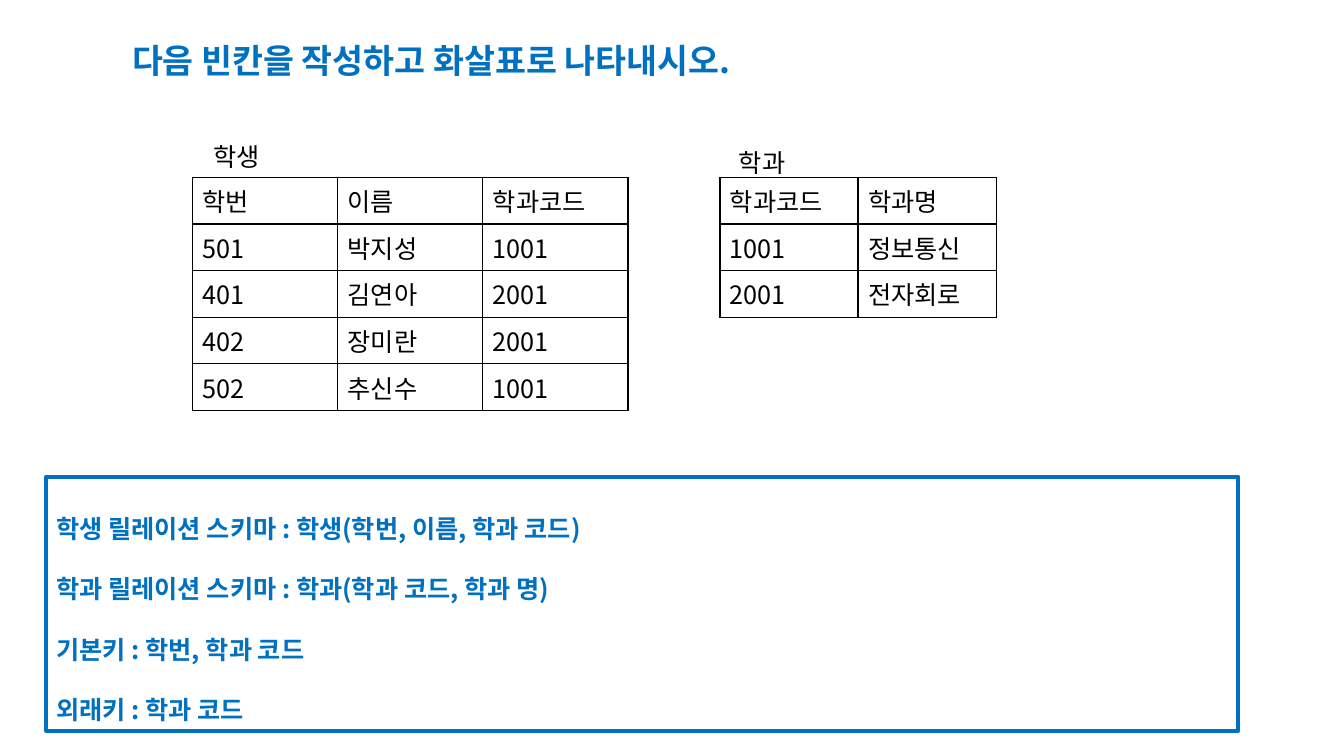
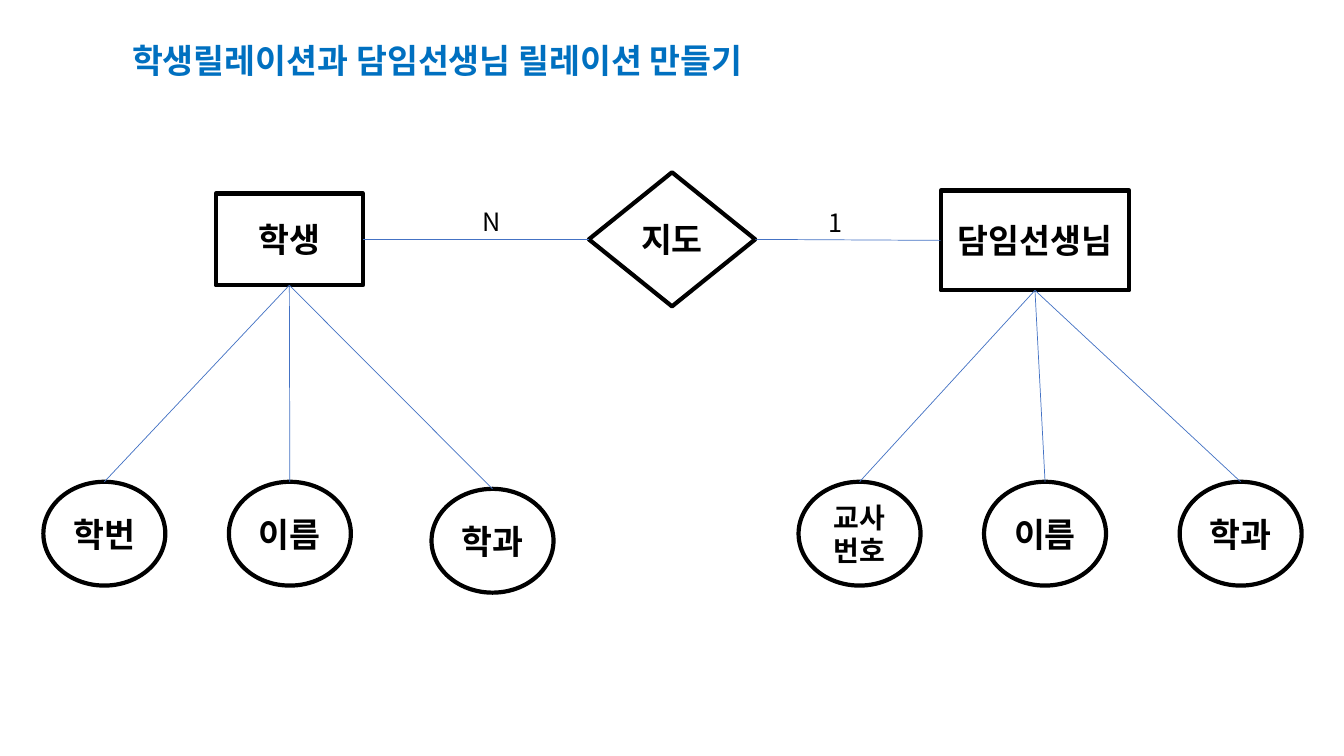
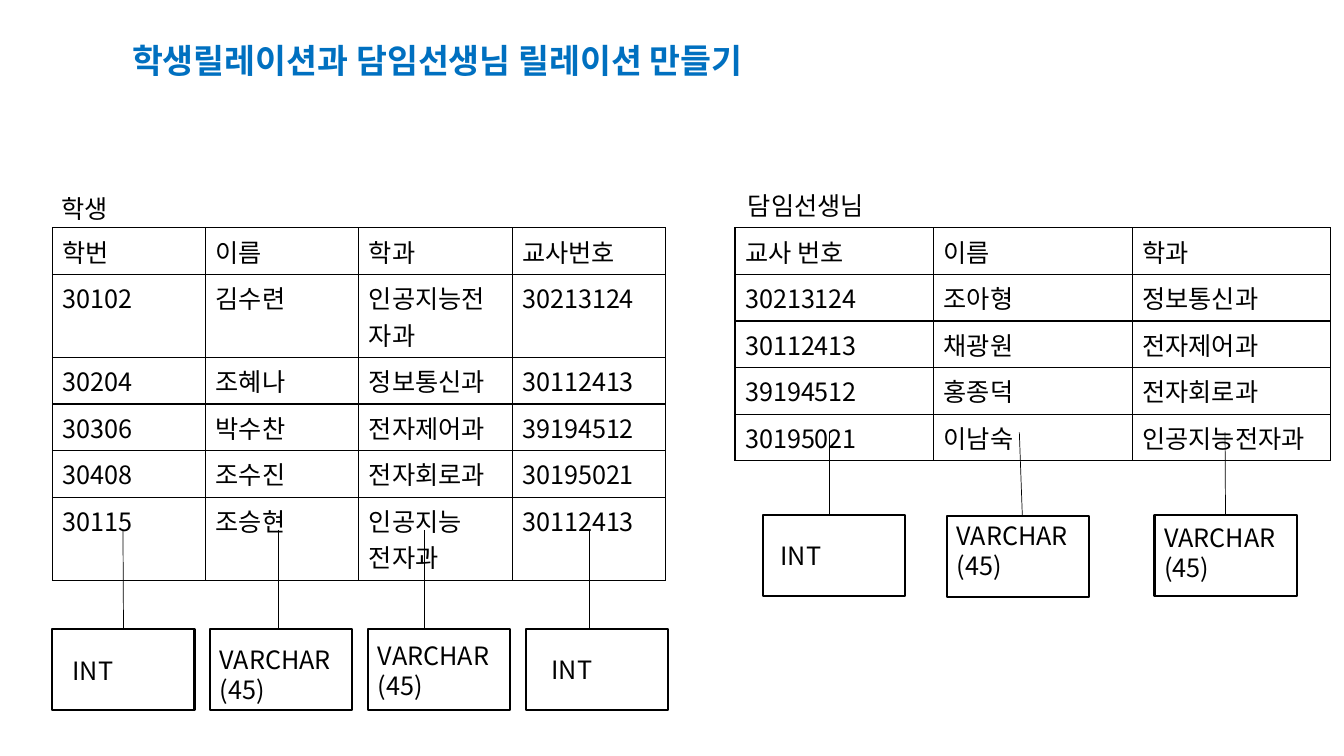
from pptx import Presentation
from pptx.dml.color import RGBColor
from pptx.enum.shapes import MSO_CONNECTOR, MSO_SHAPE
from pptx.enum.text import MSO_ANCHOR, MSO_AUTO_SIZE, PP_ALIGN
from pptx.oxml.ns import qn
from pptx.util import Inches, Pt
from lxml.etree import SubElement

BLUE = RGBColor(0x00, 0x70, 0xC0)
LINK_BLUE = RGBColor(0x44, 0x72, 0xC4)
BLACK = RGBColor(0, 0, 0)
WHITE = RGBColor(255, 255, 255)
FONT = "Noto Sans CJK KR"
LINE_HEIGHT = 1.2
ROW_HEIGHT = 0.41
TOP, LEFT, BOTTOM, RIGHT = range(4)


class Deck:
    """Holds the shared style and the slide being built."""

    def __init__(self):
        self.presentation = Presentation()
        self.presentation.slide_width = Inches(13.33)
        self.presentation.slide_height = Inches(7.5)
        self.slide = None

    def add_slide(self, title):
        layout = self.presentation.slide_layouts[5]
        self.slide = self.presentation.slides.add_slide(layout)
        shape = self.slide.shapes.title
        shape.left, shape.top = Inches(1.21), Inches(0.35)
        shape.width, shape.height = Inches(7.04), Inches(0.5)
        self.set_text(shape, title, 24, BLUE, True)

    def format_runs(self, paragraph, size, color, bold=False):
        for run in paragraph.runs:
            run.font.name = FONT
            run.font.size = Pt(size)
            run.font.bold = bold
            run.font.color.rgb = color
            east_asian = SubElement(run.font._element, qn("a:ea"))
            east_asian.set("typeface", FONT)

    def set_text(self, shape, text, size=18, color=BLACK, bold=False,
                 align=PP_ALIGN.LEFT, anchor=MSO_ANCHOR.TOP, spacing=1):
        frame = shape.text_frame
        frame.text = text
        frame.word_wrap = True
        frame.auto_size = MSO_AUTO_SIZE.NONE
        frame.vertical_anchor = anchor
        for paragraph in frame.paragraphs:
            paragraph.alignment = align
            paragraph.line_spacing = Pt(size * LINE_HEIGHT * spacing)
            self.format_runs(paragraph, size, color, bold)

    def add_label(self, text, left, top, width):
        box = self.slide.shapes.add_textbox(
            Inches(left), Inches(top), Inches(width), Inches(0.4))
        self.set_text(box, text)

    def add_box(self, kind, left, top, width, height, line=BLACK, weight=3,
                fill=None):
        shape = self.slide.shapes.add_shape(
            kind, Inches(left), Inches(top), Inches(width), Inches(height))
        shape.shadow.inherit = False
        if fill is None:
            shape.fill.background()
        else:
            shape.fill.solid()
            shape.fill.fore_color.rgb = fill
        shape.line.color.rgb = line
        shape.line.width = Pt(weight)
        return shape

    def add_node(self, kind, text, left, top, width, height, size=24):
        shape = self.add_box(kind, left, top, width, height, fill=WHITE)
        frame = shape.text_frame
        frame.margin_left = frame.margin_right = 0
        frame.margin_top = frame.margin_bottom = 0
        self.set_text(shape, text, size, bold=True, align=PP_ALIGN.CENTER,
                      anchor=MSO_ANCHOR.MIDDLE)
        return shape

    def add_line(self, start=(0, 0), end=(0, 0), color=BLACK):
        points = [Inches(value) for value in (*start, *end)]
        line = self.slide.shapes.add_connector(MSO_CONNECTOR.STRAIGHT, *points)
        line.line.color.rgb = color
        line.line.width = Pt(0.5)
        SubElement(line._element.spPr, qn("a:effectLst"))
        return line

    def connect(self, first, first_side, second, second_side):
        line = self.add_line(color=LINK_BLUE)
        line.begin_connect(first, first_side)
        line.end_connect(second, second_side)

    def add_table(self, left, top, column_width, rows):
        columns = len(rows[0])
        table = self.slide.shapes.add_table(
            len(rows), columns, Inches(left), Inches(top),
            Inches(column_width * columns),
            Inches(ROW_HEIGHT * len(rows))).table
        table.first_row = table.horz_banding = False
        for column in table.columns:
            column.width = Inches(column_width)
        for row, texts in zip(table.rows, rows):
            row.height = Inches(ROW_HEIGHT)
            for cell, text in zip(row.cells, texts):
                cell.text_frame.text = text
                for paragraph in cell.text_frame.paragraphs:
                    self.format_runs(paragraph, 18, BLACK)
                self.add_borders(cell)
                cell.fill.background()

    def add_borders(self, cell):
        properties = cell._tc.get_or_add_tcPr()
        for side in ("a:lnL", "a:lnR", "a:lnT", "a:lnB"):
            border = SubElement(properties, qn(side), w=str(Pt(1)))
            fill = SubElement(border, qn("a:solidFill"))
            SubElement(fill, qn("a:srgbClr"), val=str(BLACK))

    def add_data_type(self, text, left, top, inset, start, end_x=None):
        """A type box with a line from its column; no end_x joins the middle."""
        box = self.add_box(MSO_SHAPE.RECTANGLE, left, top, 1.41, 0.8,
                           weight=1.5)
        frame = box.text_frame
        frame.margin_left, frame.margin_top = map(Inches, inset)
        frame.margin_right = frame.margin_bottom = 0
        self.set_text(box, text)
        line = self.add_line(start, (end_x or start[0], top))
        if end_x is None:
            line.end_connect(box, TOP)


def build_schema_slide(deck):
    deck.add_slide("다음 빈칸을 작성하고 화살표로 나타내시오.")

    # Student and department tables
    deck.add_table(1.91, 1.76, 1.44, [
        ("학번", "이름", "학과코드"),
        ("501", "박지성", "1001"),
        ("401", "김연아", "2001"),
        ("402", "장미란", "2001"),
        ("502", "추신수", "1001"),
    ])
    deck.add_table(7.14, 1.76, 1.37, [
        ("학과코드", "학과명"),
        ("1001", "정보통신"),
        ("2001", "전자회로"),
    ])
    deck.add_label("학생", 2.02, 1.35, 0.71)
    deck.add_label("학과", 7.23, 1.41, 0.71)

    # Answers
    answers = deck.add_box(MSO_SHAPE.RECTANGLE, 0.46, 4.73, 11.82, 2.52,
                           line=BLUE)
    deck.set_text(answers, "\n".join([
        "학생 릴레이션 스키마 : 학생(학번, 이름, 학과 코드)",
        "학과 릴레이션 스키마 : 학과(학과 코드, 학과 명)",
        "기본키 : 학번, 학과 코드",
        "외래키 : 학과 코드",
    ]), color=BLUE, bold=True, anchor=MSO_ANCHOR.MIDDLE, spacing=2)


def build_diagram_slide(deck):
    deck.add_slide("학생릴레이션과 담임선생님 릴레이션 만들기")

    # Entities and their relationship
    process = MSO_SHAPE.FLOWCHART_PROCESS
    guidance = deck.add_node(MSO_SHAPE.FLOWCHART_DECISION, "지도",
                             5.84, 1.71, 1.65, 1.33)
    student = deck.add_node(process, "학생", 2.14, 1.92, 1.46, 0.91)
    teacher = deck.add_node(process, "담임선생님", 9.33, 1.89, 1.87, 0.99)
    deck.connect(student, RIGHT, guidance, LEFT)
    deck.connect(guidance, RIGHT, teacher, LEFT)
    deck.add_label("N", 4.69, 2, 0.39)
    deck.add_label("1", 8.12, 2.01, 0.34)

    # Attributes
    for entity, text, left, top, size in [
        (student, "학번", 0.43, 4.78, 24),
        (student, "이름", 2.27, 4.78, 24),
        (student, "학과", 4.28, 4.85, 24),
        (teacher, "교사\n번호", 7.92, 4.78, 20),
        (teacher, "이름", 9.76, 4.78, 24),
        (teacher, "학과", 11.7, 4.78, 24),
    ]:
        attribute = deck.add_node(MSO_SHAPE.OVAL, text, left, top,
                                  1.21, 1.03, size)
        deck.connect(entity, BOTTOM, attribute, TOP)


def build_types_slide(deck):
    deck.add_slide("학생릴레이션과 담임선생님 릴레이션 만들기")

    # Student and teacher tables
    deck.add_table(0.52, 2.26, 1.52, [
        ("학번", "이름", "학과", "교사번호"),
        ("30102", "김수련", "인공지능전자과", "30213124"),
        ("30204", "조혜나", "정보통신과", "30112413"),
        ("30306", "박수찬", "전자제어과", "39194512"),
        ("30408", "조수진", "전자회로과", "30195021"),
        ("30115", "조승현", "인공지능\n전자과", "30112413"),
    ])
    deck.add_table(7.29, 2.26, 1.97, [
        ("교사 번호", "이름", "학과"),
        ("30213124", "조아형", "정보통신과"),
        ("30112413", "채광원", "전자제어과"),
        ("39194512", "홍종덕", "전자회로과"),
        ("30195021", "이남숙", "인공지능전자과"),
    ])
    deck.add_label("학생", 0.51, 1.87, 0.71)
    deck.add_label("담임선생님", 7.32, 1.84, 1.46)

    # Data types of the columns
    integer, varchar = "INT", "VARCHAR\n(45)"
    student_y, teacher_y = 5.26, 4.29
    for data_type in [
        (integer, 0.52, 6.24, (0.2, 0.26), (1.22, student_y)),
        (varchar, 2.08, 6.24, (0.1, 0.15), (2.76, student_y), 2.76),
        (varchar, 3.65, 6.24, (0.1, 0.11), (4.21, student_y), 4.21),
        (integer, 5.22, 6.24, (0.25, 0.25), (5.85, student_y), 5.85),
        (integer, 7.57, 5.11, (0.17, 0.25), (8.23, teacher_y), 8.23),
        (varchar, 9.39, 5.12, (0.1, 0.04), (10.11, teacher_y), 10.14),
        (varchar, 11.45, 5.11, (0.1, 0.07), (12.15, teacher_y)),
    ]:
        deck.add_data_type(*data_type)


def main():
    deck = Deck()
    build_schema_slide(deck)
    build_diagram_slide(deck)
    build_types_slide(deck)
    deck.presentation.save("out.pptx")


if __name__ == "__main__":
    main()
